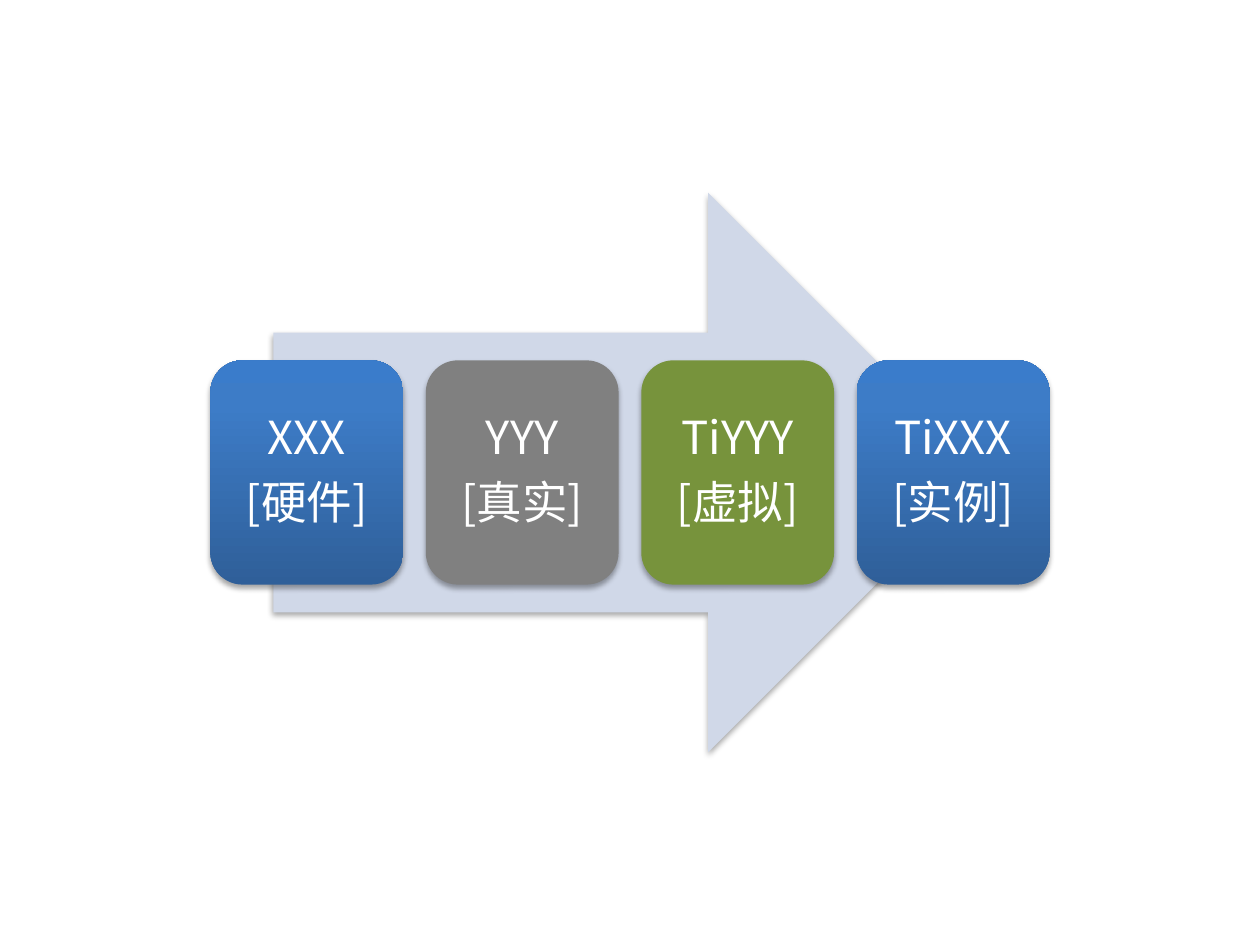
from dataclasses import dataclass

from lxml import etree
from pptx import Presentation
from pptx.dml.color import RGBColor
from pptx.enum.shapes import MSO_SHAPE
from pptx.enum.text import MSO_ANCHOR, PP_ALIGN
from pptx.oxml.ns import qn
from pptx.shapes.autoshape import Shape
from pptx.slide import Slide
from pptx.util import Inches, Pt

ARROW = MSO_SHAPE.RIGHT_ARROW
CARD = MSO_SHAPE.ROUNDED_RECTANGLE
MIDDLE = MSO_ANCHOR.MIDDLE
CENTER = PP_ALIGN.CENTER


@dataclass(frozen=True)
class Theme:
    """Colours and type of the slide."""
    arrow: str = "D0D8E8"
    real: str = "808080"
    virtual: str = "77933C"
    blue: tuple = ((0, "2F5F99"), (80, "3D7CC7"), (100, "3A7CCB"))
    text: str = "FFFFFF"
    shadow: str = "000000"
    font: str = "Noto Sans CJK SC"
    size: int = 26


@dataclass(frozen=True)
class Stage:
    """One card along the arrow."""
    title: str
    role: str
    fill: str | tuple


THEME = Theme()
STAGES = (
    Stage("XXX", "[硬件]", THEME.blue),
    Stage("YYY", "[真实]", THEME.real),
    Stage("TiYYY", "[虚拟]", THEME.virtual),
    Stage("TiXXX", "[实例]", THEME.blue),
)
CARD_LEFT, CARD_TOP, CARD_WIDTH, CARD_HEIGHT = 1.67, 2.86, 1.53, 1.78
CARD_PITCH = 1.71
INSET = Inches(0.11)
FRAME_FORMAT = {
    "word_wrap": True, "vertical_anchor": MIDDLE,
    "margin_left": INSET, "margin_right": INSET,
    "margin_top": INSET, "margin_bottom": INSET,
}
PARAGRAPH_FORMAT = {"alignment": CENTER, "line_spacing": 0.9}
FONT_FORMAT = {"name": THEME.font, "size": Pt(THEME.size)}


def apply_format(target: object, values: dict) -> None:
    """Set each named attribute of the target."""
    for name, value in values.items():
        setattr(target, name, value)


def add_child(parent: etree._Element, tag: str, **attributes: str) -> etree._Element:
    """Append a drawing element and return it."""
    return etree.SubElement(parent, qn(tag), attributes)


def paint(shape: Shape, fill: str | tuple) -> None:
    """Fill a shape with one colour or with upward gradient stops."""
    if isinstance(fill, str):
        shape.fill.solid()
        shape.fill.fore_color.rgb = RGBColor.from_string(fill)
        return
    shape.fill.gradient()
    shape.fill.gradient_angle = 90
    stops = shape._element.spPr.find(qn("a:gradFill")).find(qn("a:gsLst"))
    for stop in list(stops):
        stops.remove(stop)
    for percent, color in fill:
        stop = add_child(stops, "a:gs", pos=str(percent * 1000))
        add_child(stop, "a:srgbClr", val=color)


def cast_shadow(shape: Shape) -> None:
    """Give a shape a soft shadow straight below it."""
    shape.shadow.inherit = False
    effects = shape._element.spPr.find(qn("a:effectLst"))
    shadow = add_child(effects, "a:outerShdw", blurRad=str(Pt(3.1)),
                       dist=str(Pt(1.8)), dir="5400000", rotWithShape="0")
    color = add_child(shadow, "a:srgbClr", val=THEME.shadow)
    add_child(color, "a:alpha", val="35000")


def add_block(slide: Slide, kind: MSO_SHAPE, box: tuple, fill: str | tuple) -> Shape:
    """Add a borderless shape with fill and shadow."""
    block = slide.shapes.add_shape(kind, *map(Inches, box))
    paint(block, fill)
    block.line.fill.background()
    cast_shadow(block)
    return block


def write_lines(shape: Shape, lines: tuple) -> None:
    """Write centred lines, one paragraph each."""
    frame = shape.text_frame
    apply_format(frame, FRAME_FORMAT)
    frame.text = "\n".join(lines)
    for paragraph in frame.paragraphs:
        apply_format(paragraph, PARAGRAPH_FORMAT)
        after = add_child(paragraph._p.get_or_add_pPr(), "a:spcAft")
        add_child(after, "a:spcPct", val="35000")
        for run in paragraph.runs:
            apply_format(run.font, FONT_FORMAT)
            run.font.color.rgb = RGBColor.from_string(THEME.text)
            add_child(run._r.get_or_add_rPr(), "a:ea", typeface=THEME.font)


def build() -> None:
    """Build and save the slide."""
    deck = Presentation()
    deck.slide_width, deck.slide_height = Inches(10), Inches(7.5)
    slide = deck.slides.add_slide(deck.slide_layouts[6])
    add_block(slide, ARROW, (2.17, 1.53, 5.67, 4.44), THEME.arrow)
    for index, stage in enumerate(STAGES):
        left = CARD_LEFT + index * CARD_PITCH
        box = (left, CARD_TOP, CARD_WIDTH, CARD_HEIGHT)
        card = add_block(slide, CARD, box, stage.fill)
        write_lines(card, (stage.title, stage.role))
    deck.save("out.pptx")


build()
